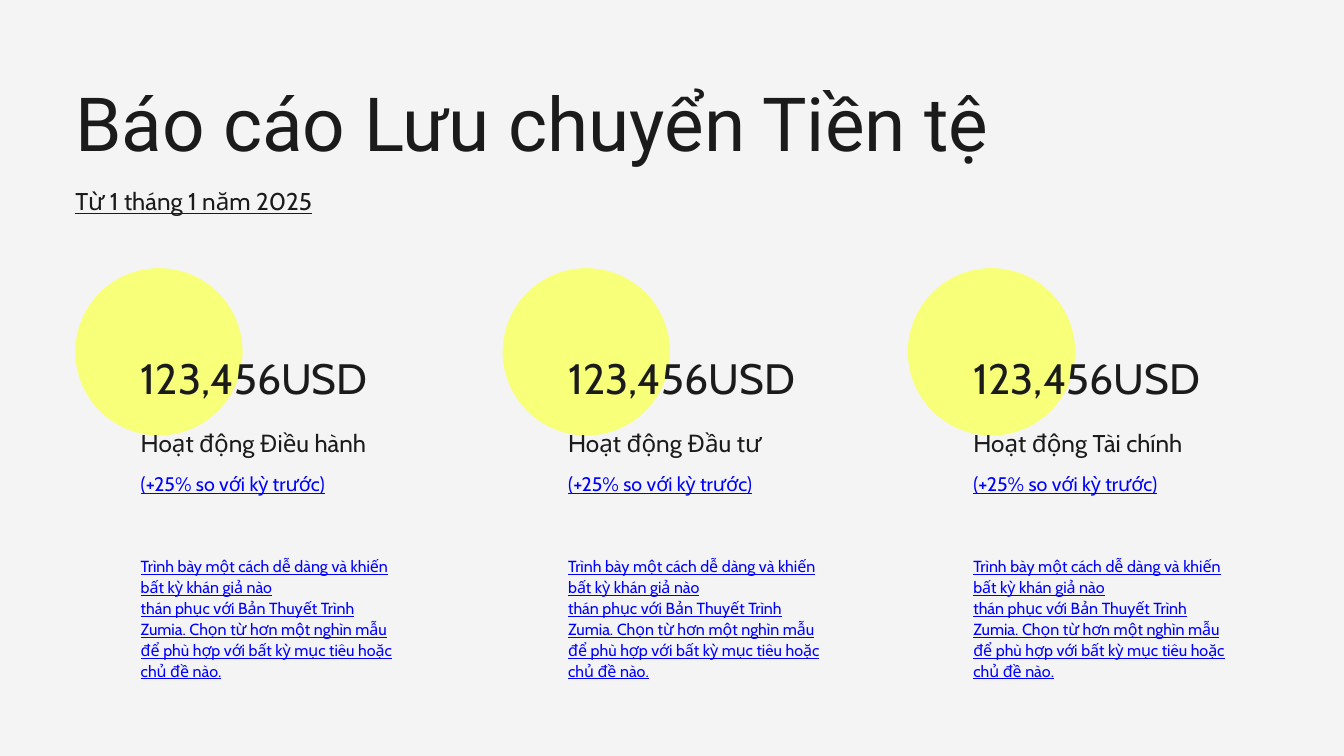
from pptx import Presentation
from pptx.dml.color import RGBColor
from pptx.enum.shapes import MSO_SHAPE as Shape
from pptx.enum.text import MSO_ANCHOR as Anchor, MSO_AUTO_SIZE as Fit, PP_ALIGN as Align
from pptx.util import Inches, Pt

WIDE, HIGH = Inches(20), Inches(11.25)
COL, ROW = WIDE / 80, HIGH / 45  # grid of 80 columns and 45 rows
INK, LINK, SUN, PAPER = "1B1B1B", "0000FF", "F8FF78", "F4F4F4"

BODY = [
    "Trình bày một cách dễ dàng và khiến bất kỳ khán giả nào",
    "thán phục với Bản Thuyết Trình Zumia. Chọn từ hơn một nghìn mẫu "
    "để phù hợp với bất kỳ mục tiêu hoặc chủ đề nào.",
]
AMOUNT, CHANGE = "123,456USD", "(+25% so với kỳ trước)"
ITEMS = [
    (4.48, "Hoạt động Điều hành"),
    (29.92, "Hoạt động Đầu tư"),
    (54.04, "Hoạt động Tài chính"),
]


def paint(fill, hue):
    fill.solid()
    fill.fore_color.rgb = RGBColor.from_string(hue)


def grid(x, y, w, h):
    return [round(n) for n in (x * COL, y * ROW, w * COL, h * ROW)]


def write(shape, lines, size, lead, hue=INK, face="Cabin", under=False):
    frame = shape.text_frame
    frame.word_wrap, frame.auto_size = True, Fit.NONE
    frame.vertical_anchor = Anchor.TOP
    frame.margin_left = frame.margin_right = 0
    frame.margin_top = frame.margin_bottom = 0
    frame.text = "\n".join(lines)
    for par in frame.paragraphs:
        par.alignment = Align.LEFT
        par.line_spacing = Pt(lead)
        par.space_before = Pt(0)
        font = par.font
        font.name, font.size, font.underline = face, Pt(size), under
        font.color.rgb = RGBColor.from_string(hue)


def label(slide, box, *args, **style):
    write(slide.shapes.add_textbox(*grid(*box)), *args, **style)


def header(slide, x, y, w):
    title = slide.shapes.title
    title.left, title.top, title.width, title.height = grid(x, y, w, 5.36)
    write(title, ["Báo cáo Lưu chuyển Tiền tệ"], 80, 96, face="Roboto")
    label(slide, (x, y + 6.4, w * 0.6, 1.8), ["Từ 1 tháng 1 năm 2025"],
          26, 33.8, under=True)


def figure(slide, x, y, w, name):
    # Disc behind the amount
    side = 9.96
    disc = slide.shapes.add_shape(Shape.OVAL, *grid(x, y, side, side))
    disc.shadow.inherit = False
    paint(disc.fill, SUN)
    disc.line.fill.background()

    # Stack of texts, indented from the disc
    inset = 3.9
    for drop, tall, lines, size, lead, hue in [
        (5, 3, [AMOUNT], 45.5, 54.6, INK),
        (9.36, 1.8, [name], 26, 33.8, INK),
        (12.04, 1.48, [CHANGE], 21, 27.3, LINK),
        (17.08, 7.2, BODY, 17.2, 22.4, LINK),
    ]:
        label(slide, (x + inset, y + drop, w - inset, tall), lines,
              size, lead, hue=hue, under=hue == LINK)


def main():
    deck = Presentation()
    deck.slide_width, deck.slide_height = WIDE, HIGH
    slide = deck.slides.add_slide(deck.slide_layouts[5])
    paint(slide.background.fill, PAPER)
    header(slide, 4.48, 4.56, 62.04)
    for x, name in ITEMS:
        figure(slide, x, 15.96, 19.1, name)
    deck.save("out.pptx")


if __name__ == "__main__":
    main()
